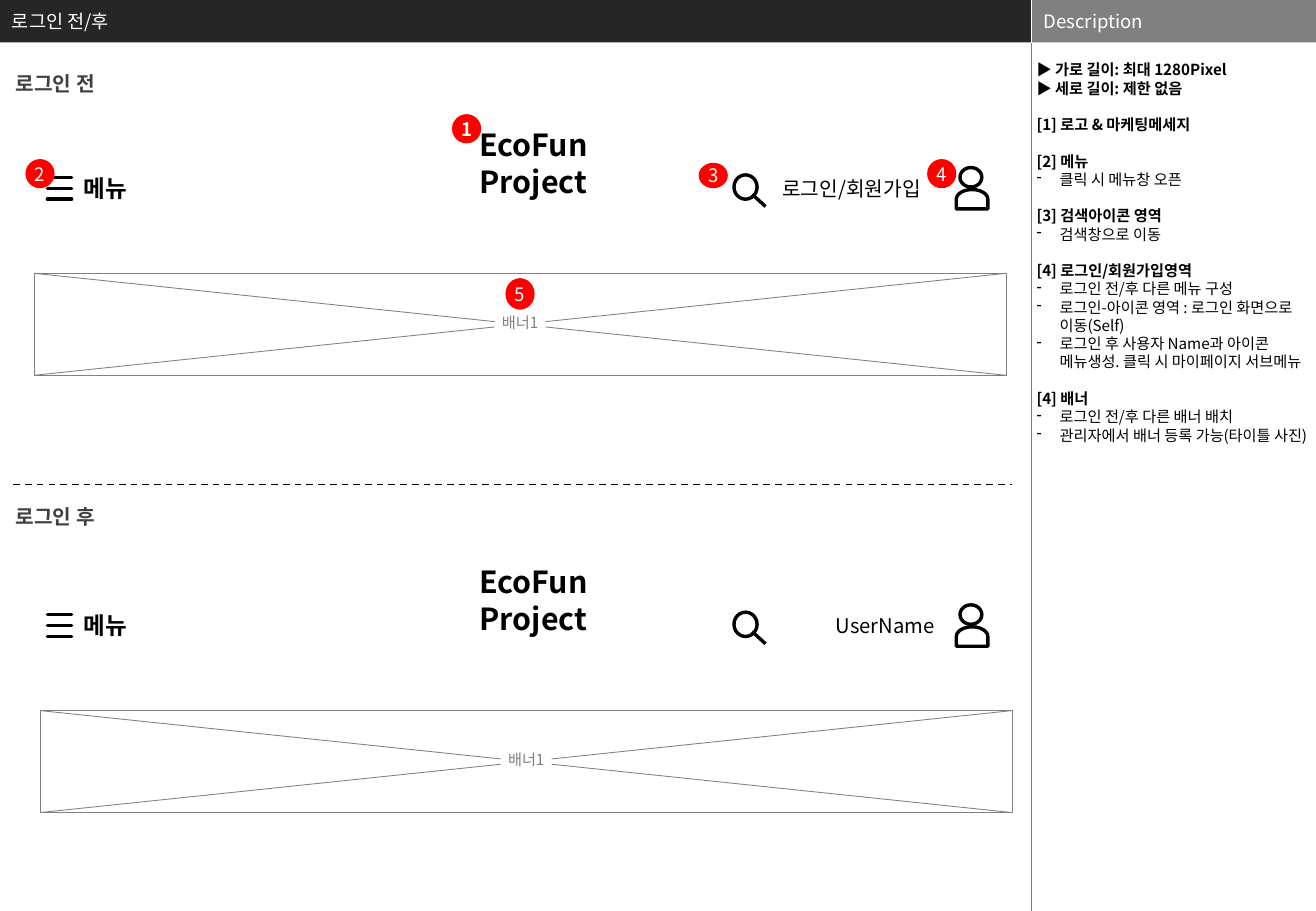
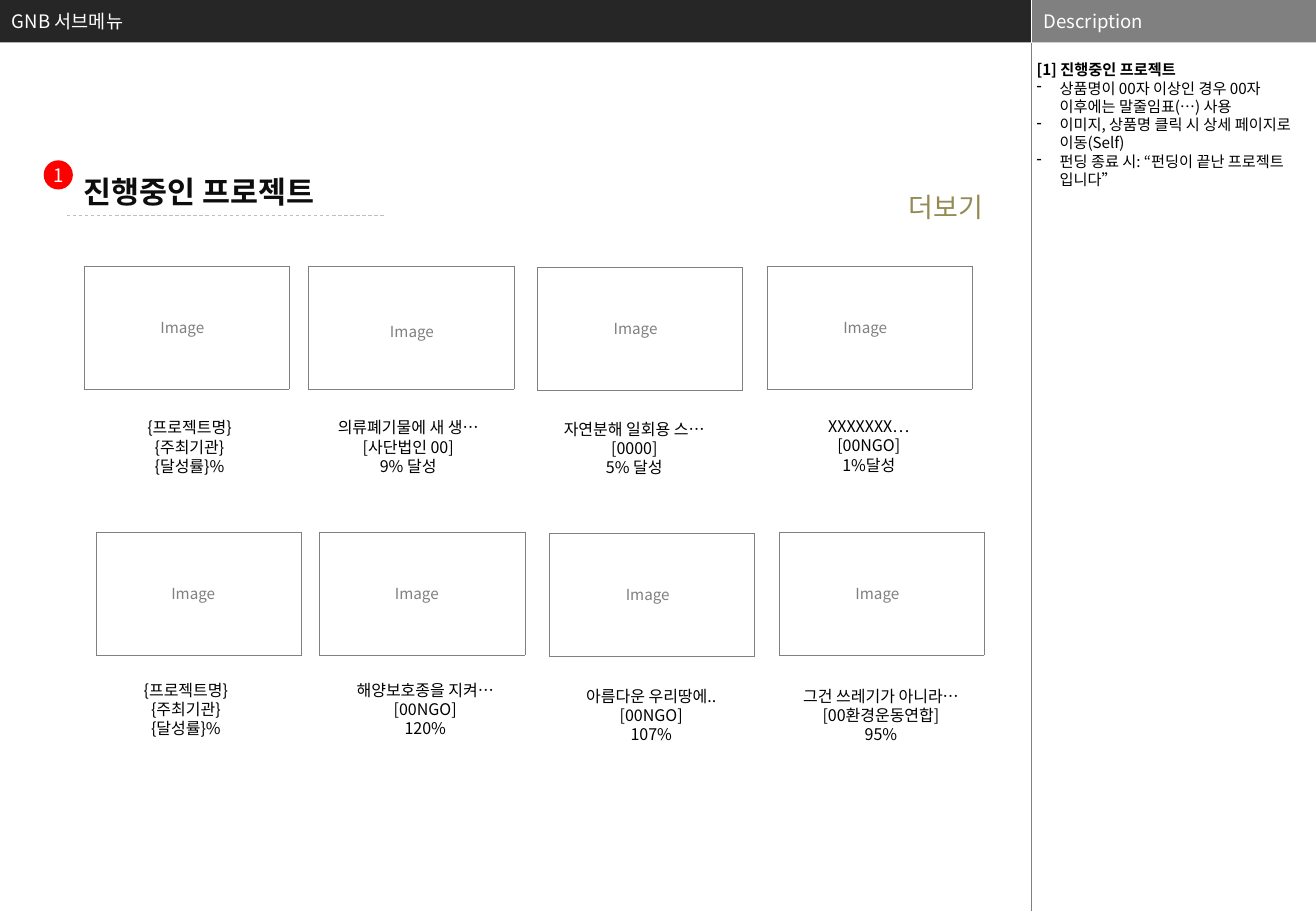
from lxml.etree import SubElement
from pptx import Presentation
from pptx.dml.color import RGBColor
from pptx.enum.dml import MSO_LINE
from pptx.enum.shapes import MSO_CONNECTOR, MSO_SHAPE
from pptx.enum.text import MSO_ANCHOR, PP_ALIGN
from pptx.oxml.ns import qn
from pptx.util import Pt

EMU_PER_PX = 9144
WIDTH, HEIGHT = 1083, 750
SIDEBAR_LEFT, BAND_HEIGHT = 849, 35
FONT = "Noto Sans CJK KR"
BLACK, WHITE, GRAY, RED = "000000", "FFFFFF", "808080", "FF0000"
DARK, RULE, HEADING, TITLE = "262626", "7F7F7F", "404040", "0D0D0D"
PALE, OLIVE = "BFBFBF", "948A54"


def px(*lengths):
    return [length * EMU_PER_PX for length in lengths]


def rgb(color):
    return RGBColor.from_string(color)


class Wireframe:
    def __init__(self):
        self.presentation = Presentation()
        self.presentation.slide_width, self.presentation.slide_height = px(WIDTH, HEIGHT)
        self.slide = None

    def new_slide(self, title, notes):
        self.slide = self.presentation.slides.add_slide(self.presentation.slide_layouts[6])
        sidebar_width = WIDTH - SIDEBAR_LEFT
        self.shape((0, 0, SIDEBAR_LEFT, BAND_HEIGHT), fill=DARK)
        self.shape((SIDEBAR_LEFT, 0, sidebar_width, BAND_HEIGHT), fill=GRAY)
        self.line((SIDEBAR_LEFT, 0), (SIDEBAR_LEFT, BAND_HEIGHT), WHITE, 0.25)
        self.line((SIDEBAR_LEFT, BAND_HEIGHT), (SIDEBAR_LEFT, HEIGHT), RULE, 0.25)
        for left, width, text in ((SIDEBAR_LEFT, sidebar_width, "Description"), (0, 825, title)):
            self.text((left, 0, width, BAND_HEIGHT), [text], 11, WHITE, anchor=MSO_ANCHOR.MIDDLE)
        self.description(notes)

    def format_runs(self, paragraph, size, color, bold):
        for run in paragraph.runs:
            run.font.size = Pt(size)
            run.font.bold = bold
            run.font.color.rgb = rgb(color)
            run.font.name = FONT
            SubElement(run.font._element, qn("a:ea")).set("typeface", FONT)

    def set_text(self, shape, lines, size, color, bold=False, align=PP_ALIGN.LEFT,
                 anchor=MSO_ANCHOR.TOP, insets=(10, 5), wrap=True):
        frame = shape.text_frame
        frame.margin_left, frame.margin_top = frame.margin_right, frame.margin_bottom = px(*insets)
        frame.word_wrap = wrap
        frame.vertical_anchor = anchor
        frame.text = "\n".join(lines)
        for paragraph in frame.paragraphs:
            paragraph.alignment = align
            self.format_runs(paragraph, size, color, bold)

    def text(self, box, lines, size, color, fill=None, **style):
        shape = self.slide.shapes.add_textbox(*px(*box))
        if fill:
            shape.fill.solid()
            shape.fill.fore_color.rgb = rgb(fill)
        self.set_text(shape, lines, size, color, **style)

    def shape(self, box, kind=MSO_SHAPE.RECTANGLE, fill=None, line=None, weight=0.5):
        shape = self.slide.shapes.add_shape(kind, *px(*box))
        shape.shadow.inherit = False
        if fill:
            shape.fill.solid()
            shape.fill.fore_color.rgb = rgb(fill)
        else:
            shape.fill.background()
        if line:
            shape.line.color.rgb = rgb(line)
            shape.line.width = Pt(weight)
        else:
            shape.line.fill.background()
        return shape

    def line(self, start, end, color, weight, dash=None, cap="flat"):
        connector = self.slide.shapes.add_connector(MSO_CONNECTOR.STRAIGHT, *px(*start, *end))
        connector.line.color.rgb = rgb(color)
        connector.line.width = Pt(weight)
        if dash:
            connector.line.dash_style = dash
        properties = connector._element.spPr
        properties.find(qn("a:ln")).set("cap", cap)
        SubElement(properties, qn("a:effectLst"))

    def description(self, notes):
        box = self.slide.shapes.add_textbox(*px(SIDEBAR_LEFT, 50, WIDTH - SIDEBAR_LEFT, 700))
        frame = box.text_frame
        frame.word_wrap = True
        frame.margin_left, frame.margin_top = frame.margin_right, frame.margin_bottom = px(4, 0)
        rows = [(text, bulleted, group > 0 and index == 0 and not bulleted)
                for group, (headings, bullets) in enumerate(notes)
                for bulleted, texts in ((False, headings), (True, bullets))
                for index, text in enumerate(texts)]
        for number, (text, bulleted, opens_group) in enumerate(rows):
            paragraph = frame.add_paragraph() if number else frame.paragraphs[0]
            paragraph.text = text
            if bulleted:
                properties = paragraph._p.get_or_add_pPr()
                indent = px(19)[0]
                properties.set("marL", str(indent))
                properties.set("indent", str(-indent))
                SubElement(properties, qn("a:buChar")).set("char", "-")
            if opens_group:
                paragraph.space_before = Pt(10.8)
            self.format_runs(paragraph, 9, BLACK, not bulleted)

    def marker(self, number, left, top, height=24, bold=False):
        shape = self.shape((left, top, 24, height), MSO_SHAPE.OVAL, RED)
        self.set_text(shape, [number], 11, WHITE, bold, PP_ALIGN.CENTER,
                      MSO_ANCHOR.MIDDLE, (0, 0), False)

    def banner(self, left, top):
        right, bottom = left + 800, top + 84
        self.shape((left, top, 800, 84), fill=WHITE, line=GRAY)
        self.line((left, bottom), (right, top), GRAY, 0.5)
        self.line((left, top), (right, bottom), GRAY, 0.5)
        self.text((left + 379, top + 33, 42, 15), ["배너1"], 9, GRAY, fill=WHITE,
                  align=PP_ALIGN.CENTER, insets=(4, 0))

    def site_header(self, top, account, account_align):
        self.text((360, top, 158, 71), ["EcoFun Project"], 18, BLACK, bold=True,
                  align=PP_ALIGN.CENTER)
        self.shape((604, top + 45, 19, 20), MSO_SHAPE.OVAL, line=BLACK, weight=2)
        self.line((619, top + 61), (630, top + 71), BLACK, 2)
        self.shape((790, top + 39, 18, 16), MSO_SHAPE.OVAL, WHITE, BLACK, 2)
        shoulders = self.shape((792, top + 52, 16, 26), MSO_SHAPE.FLOWCHART_DELAY, WHITE, BLACK, 2)
        shoulders.rotation = 270
        self.text((634, top + 41, 145, 30), [account], 12, BLACK, align=account_align)
        for bar in range(3):
            bar_top = top + 47 + 9 * bar
            self.line((39, bar_top), (59, bar_top), BLACK, 2, cap="rnd")
        self.text((69, top + 44, 56, 24), ["메뉴"], 14, BLACK, bold=True,
                  anchor=MSO_ANCHOR.MIDDLE, insets=(0, 0))

    def state_heading(self, top, text):
        self.text((-1, top, 93, 30), [text], 12, HEADING, bold=True,
                  align=PP_ALIGN.CENTER, wrap=False)

    def image_frame(self, left, top):
        table = self.slide.shapes.add_table(1, 1, *px(left, top, 169, 101)).table
        table.first_row = table.horz_banding = False
        cell = table.cell(0, 0)
        properties = cell._tc.get_or_add_tcPr()
        for side in ("lnL", "lnR", "lnT", "lnB"):
            border = SubElement(properties, qn(f"a:{side}"))
            border.set("w", str(Pt(0.25)))
            SubElement(SubElement(border, qn("a:solidFill")), qn("a:srgbClr")).set("val", GRAY)
        cell.fill.background()

    def project_card(self, frame, label, caption, lines):
        self.image_frame(*frame)
        self.text((*label, 43, 22), ["Image"], 9, GRAY, fill=WHITE, insets=(0, 0), wrap=False)
        center, top = caption
        self.text((center - 75, top, 150, 48), lines, 9.5, BLACK,
                  align=PP_ALIGN.CENTER, insets=(0, 0), wrap=False)


LOGIN_NOTES = (
    (("▶ 가로 길이: 최대 1280Pixel", "▶ 세로 길이: 제한 없음"), ()),
    (("[1] 로고 & 마케팅메세지",), ()),
    (("[2] 메뉴",), ("클릭 시 메뉴창 오픈",)),
    (("[3] 검색아이콘 영역",), ("검색창으로 이동",)),
    (("[4] 로그인/회원가입영역",), (
        "로그인 전/후 다른 메뉴 구성",
        "로그인-아이콘 영역 : 로그인 화면으로 이동(Self)",
        "로그인 후 사용자 Name과 아이콘 메뉴생성. 클릭 시 마이페이지 서브메뉴")),
    (("[4] 배너",), ("로그인 전/후 다른 배너 배치", "관리자에서 배너 등록 가능(타이틀 사진)")),
)
PROJECT_NOTES = (
    (("[1] 진행중인 프로젝트",), (
        "상품명이 00자 이상인 경우 00자 이후에는 말줄임표(…) 사용",
        "이미지, 상품명 클릭 시 상세 페이지로 이동(Self)",
        "펀딩 종료 시: “펀딩이 끝난 프로젝트 입니다”")),
)
TEMPLATE = ("{프로젝트명}", "{주최기관}", "{달성률}%")
PROJECTS = (
    ((69, 219), (132, 262), (156, 344), TEMPLATE),
    ((254, 219), (321, 265), (336, 344), ("의류폐기물에 새 생…", "[사단법인 00]", "9% 달성")),
    ((442, 220), (505, 263), (522, 345), ("자연분해 일회용 스…", "[0000]", "5% 달성")),
    ((631, 219), (694, 262), (715, 343), ("XXXXXXX…", "[00NGO]", "1%달성")),
    ((79, 438), (141, 481), (153, 560), TEMPLATE),
    ((263, 438), (325, 481), (350, 560), ("해양보호종을 지켜…", "[00NGO]", "120%")),
    ((452, 439), (515, 482), (536, 565), ("아름다운 우리땅에..", "[00NGO]", "107%")),
    ((641, 438), (704, 481), (725, 565), ("그건 쓰레기가 아니라…", "[00환경운동연합]", "95%")),
)


def build_login(wireframe):
    wireframe.new_slide("로그인 전/후", LOGIN_NOTES)
    wireframe.state_heading(54, "로그인 전")
    wireframe.state_heading(410, "로그인 후")
    wireframe.line((11, 399), (833, 399), BLACK, 1, MSO_LINE.DASH)
    wireframe.banner(28, 225)
    wireframe.banner(33, 585)
    wireframe.site_header(99, "로그인/회원가입", PP_ALIGN.LEFT)
    wireframe.site_header(459, "UserName", PP_ALIGN.RIGHT)
    wireframe.marker("1", 372, 94, bold=True)
    wireframe.marker("2", 21, 131)
    wireframe.marker("3", 575, 134, height=21)
    wireframe.marker("4", 763, 131)
    wireframe.marker("5", 416, 229, height=26)


def build_projects(wireframe):
    wireframe.new_slide("GNB 서브메뉴", PROJECT_NOTES)
    wireframe.text((59, 145, 396, 25), ["진행중인 프로젝트"], 18, TITLE, bold=True,
                   anchor=MSO_ANCHOR.MIDDLE)
    wireframe.line((55, 177), (317, 177), PALE, 0.5, MSO_LINE.DASH)
    for project in PROJECTS:
        wireframe.project_card(*project)
    wireframe.marker("1", 36, 132)
    wireframe.text((738, 152, 98, 37), ["더보기"], 16, OLIVE, fill=WHITE)


def main():
    wireframe = Wireframe()
    build_login(wireframe)
    build_projects(wireframe)
    wireframe.presentation.save("out.pptx")


if __name__ == "__main__":
    main()
